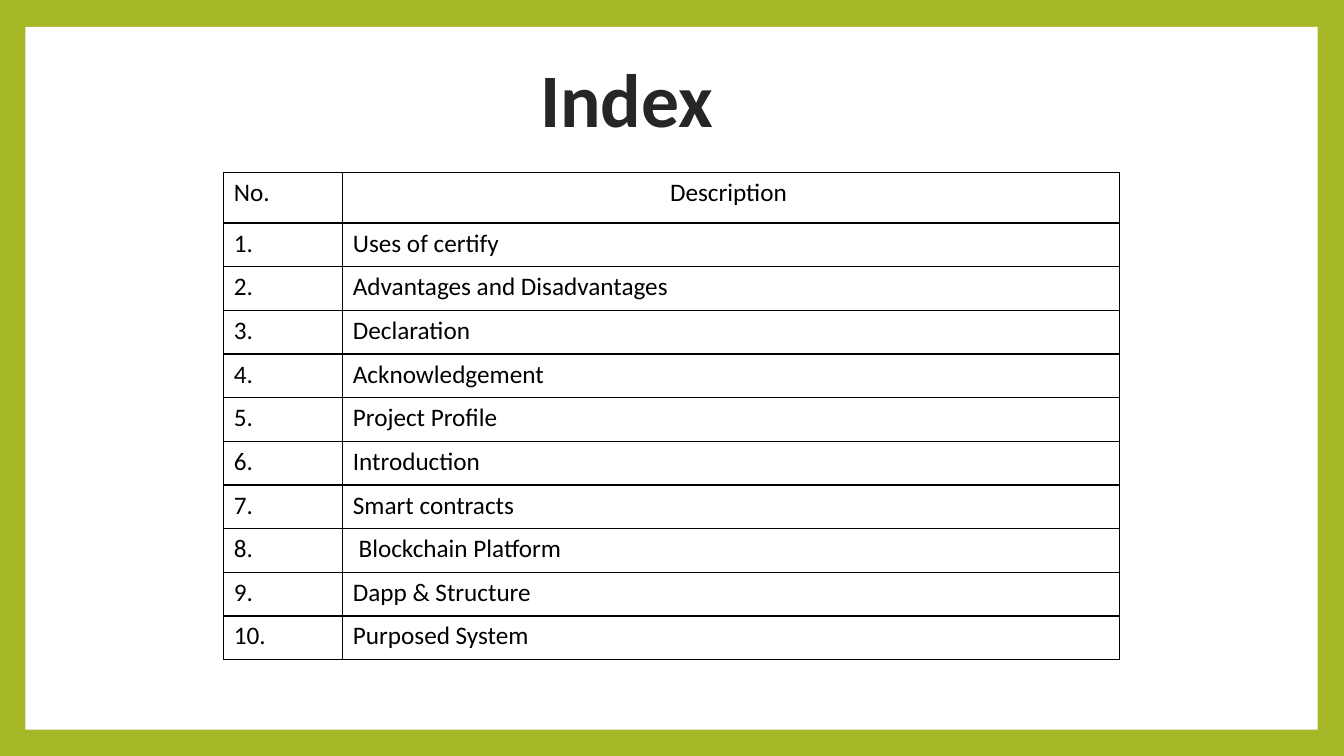
"""Build the index slide: a title and a numbered table of topics in a green frame."""
import pptx
import pptx.util
import pptx.dml.color
import pptx.enum.shapes
import pptx.enum.text
import pptx.oxml
import pptx.oxml.ns

Cm, Pt = pptx.util.Cm, pptx.util.Pt
RGBColor = pptx.dml.color.RGBColor
GREEN = RGBColor(0xA6, 0xB7, 0x27)
WHITE = RGBColor(0xFF, 0xFF, 0xFF)
DARK = RGBColor(0x26, 0x26, 0x26)
BLACK = RGBColor(0, 0, 0)
CENTER = pptx.enum.text.PP_ALIGN.CENTER

TOPICS = [
    "Uses of certify",
    "Advantages and Disadvantages",
    "Declaration",
    "Acknowledgement",
    "Project Profile",
    "Introduction",
    "Smart contracts",
    " Blockchain Platform",
    "Dapp & Structure",
    "Purposed System",
]


def style(para, size, color, bold=False):
    for run in para.runs:
        run.font.name = "Calibri"
        run.font.size = Pt(size)
        run.font.bold = bold
        run.font.color.rgb = color


def border(cell):
    props = cell._tc.get_or_add_tcPr()
    for index, side in enumerate(("lnL", "lnR", "lnT", "lnB")):
        line = pptx.oxml.parse_xml(
            f'<a:{side} {pptx.oxml.ns.nsdecls("a")} w="{Pt(1)}">'
            f'<a:solidFill><a:srgbClr val="{BLACK}"/></a:solidFill></a:{side}>'
        )
        props.insert(index, line)


deck = pptx.Presentation()
deck.slide_width, deck.slide_height = Cm(33.87), Cm(19.05)
slide = deck.slides.add_slide(deck.slide_layouts[5])
slide.background.fill.solid()
slide.background.fill.fore_color.rgb = GREEN

panel = slide.shapes.add_shape(
    pptx.enum.shapes.MSO_SHAPE.RECTANGLE, Cm(0.64), Cm(0.68), Cm(32.57), Cm(17.71)
)
panel.shadow.inherit = False
panel.fill.solid()
panel.fill.fore_color.rgb = WHITE
panel.line.fill.background()

title = slide.shapes.title
title.left, title.top, title.width, title.height = Cm(11.33), Cm(1.17), Cm(8.92), Cm(2.56)
panel.element.addnext(title.element)
frame = title.text_frame
frame.text = "Index"
frame.vertical_anchor = pptx.enum.text.MSO_ANCHOR.TOP
frame.paragraphs[0].alignment = CENTER
style(frame.paragraphs[0], 54, DARK, True)

rows = [("No.", "Description ")]
rows += [(f"{number}.", topic) for number, topic in enumerate(TOPICS, 1)]
table = slide.shapes.add_table(
    len(rows), 2, Cm(5.64), Cm(4.34), Cm(22.58), Cm(12.28)
).table
table.first_row = table.horz_banding = False
table.columns[0].width, table.columns[1].width = Cm(3), Cm(19.58)

for r, texts in enumerate(rows):
    table.rows[r].height = Cm(1.1 if r else 1.28)
    for c, text in enumerate(texts):
        cell = table.cell(r, c)
        cell.text_frame.text = text
        cell.fill.background()
        border(cell)
        style(cell.text_frame.paragraphs[0], 18, BLACK)
table.cell(0, 1).text_frame.paragraphs[0].alignment = CENTER

deck.save("out.pptx")
